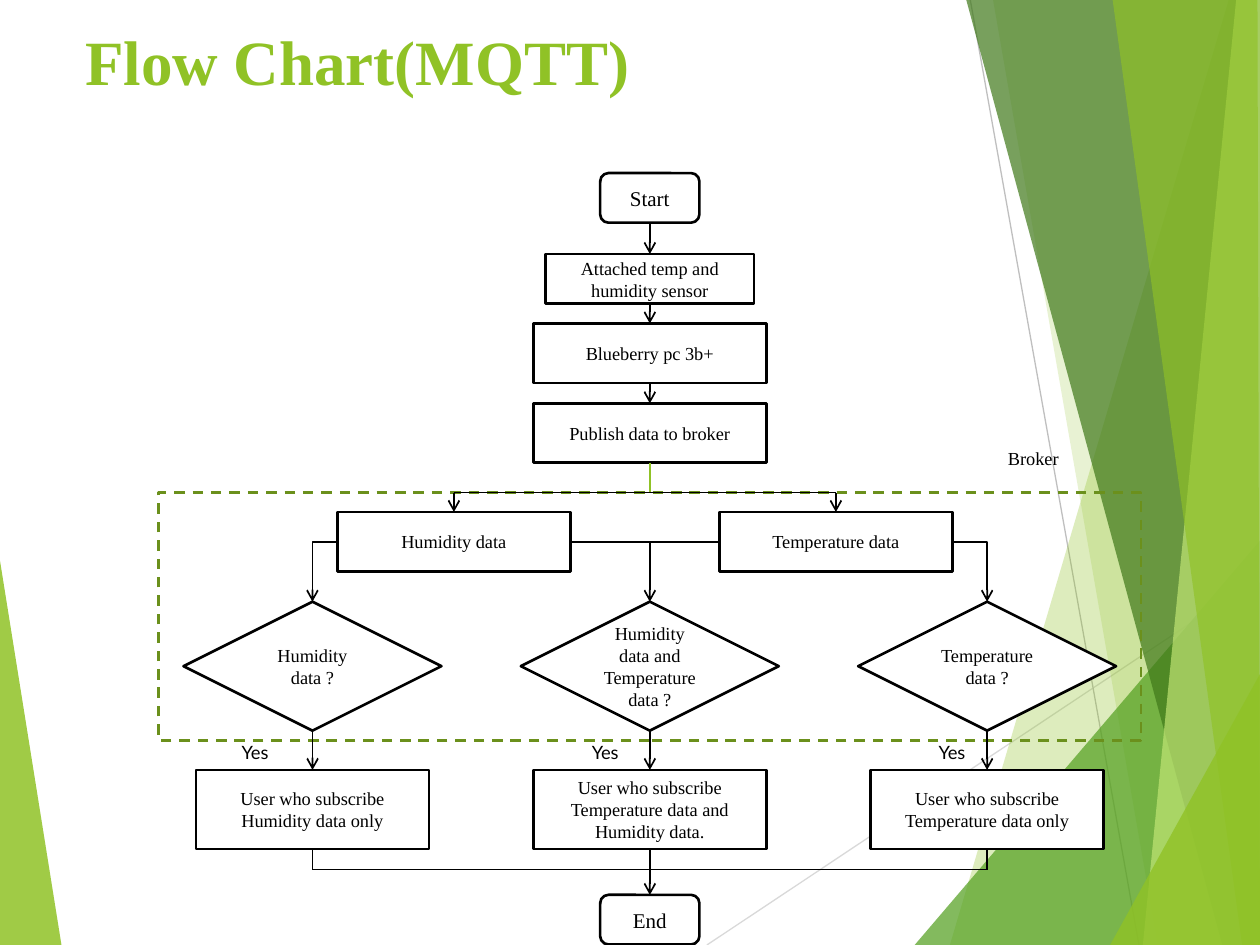
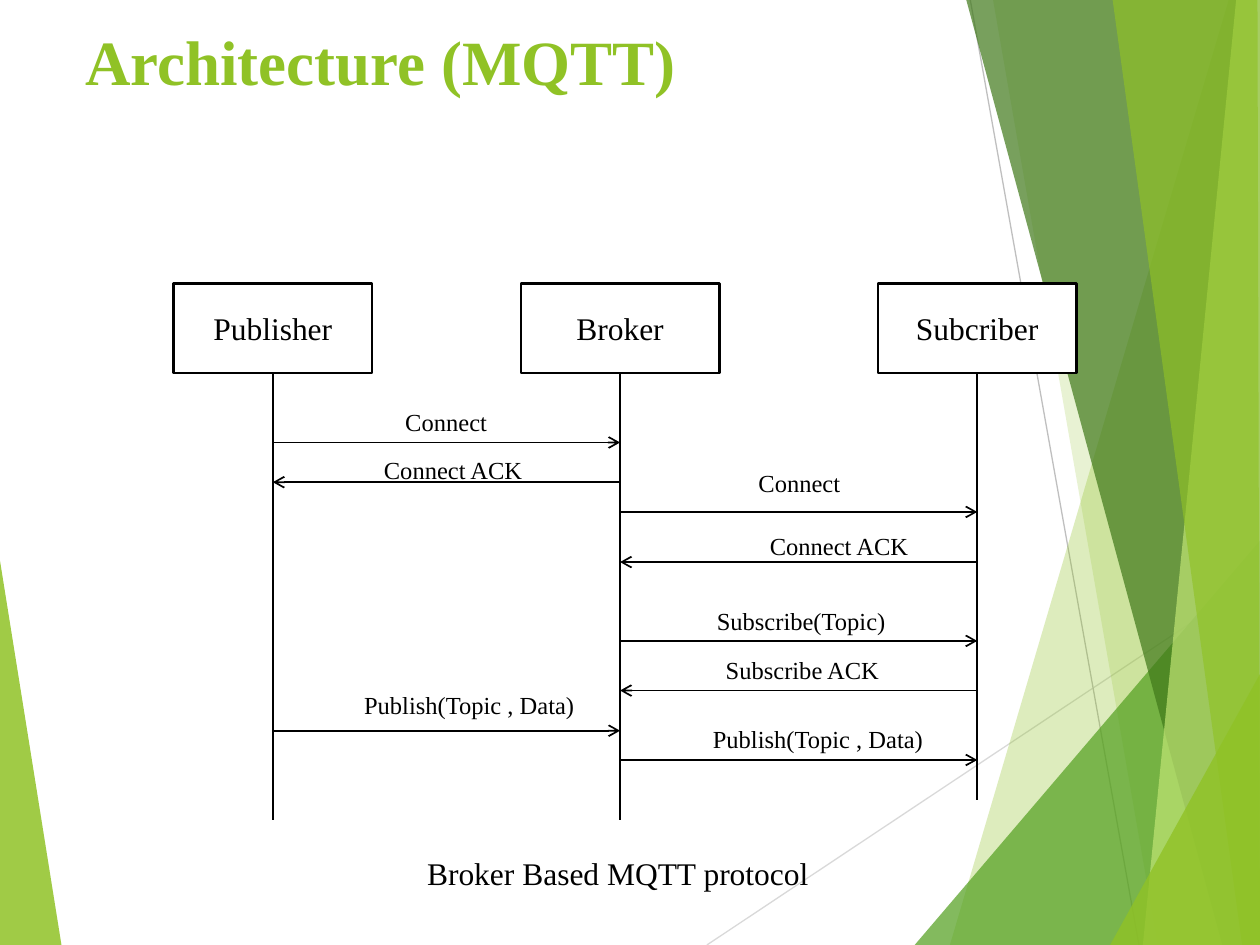
from lxml import etree
from pptx import Presentation
from pptx.dml.color import RGBColor
from pptx.enum.dml import MSO_LINE
from pptx.enum.shapes import MSO_CONNECTOR, MSO_SHAPE
from pptx.enum.text import MSO_ANCHOR, PP_ALIGN
from pptx.oxml.ns import qn
from pptx.util import Cm, Pt

RECTANGLE, ROUNDED, DIAMOND = MSO_SHAPE.RECTANGLE, MSO_SHAPE.ROUNDED_RECTANGLE, MSO_SHAPE.DIAMOND
STRAIGHT, ELBOW = MSO_CONNECTOR.STRAIGHT, MSO_CONNECTOR.ELBOW
DASH = MSO_LINE.DASH
CENTER, LEFT = PP_ALIGN.CENTER, PP_ALIGN.LEFT
MIDDLE = MSO_ANCHOR.MIDDLE
TOP_SIDE, LEFT_SIDE, BOTTOM_SIDE, RIGHT_SIDE = range(4)

WIDTH, HEIGHT = 25.4, 19.05
SERIF, SANS = "Times New Roman", "Lato"
BLACK, WHITE, GREEN, OLIVE = "000000", "FFFFFF", "90C226", "6B901C"

CORNERS = [(WIDTH, HEIGHT), (WIDTH, 0)]
LEFT_FACET = ([(0, 11.3), (1.24, HEIGHT), (0, HEIGHT)], GREEN, 85)
BACKDROP_LINES = [
    ((14.25, HEIGHT), (WIDTH, 11.63), "D9D9D9"),
    ((19.56, 0), (22.96, HEIGHT), "BFBFBF"),
]
RIGHT_FACETS = [
    ([(24.77, 0), (19.15, HEIGHT), *CORNERS], GREEN, 30),
    ([(20.02, 0), (23.34, HEIGHT), *CORNERS], GREEN, 20),
    ([(18.44, HEIGHT), (WIDTH, 10.9), (WIDTH, HEIGHT)], "54A021", 72),
    ([(19.48, 0), (24.64, HEIGHT), *CORNERS], "3F7819", 70),
    ([(24.92, 0), (23.04, HEIGHT), *CORNERS], "C0E474", 70),
    ([(22.43, 0), (25.04, HEIGHT), (WIDTH, HEIGHT), (25.35, 0)], GREEN, 65),
    ([(22.38, HEIGHT), (WIDTH, 13.59), (WIDTH, HEIGHT)], GREEN, 80),
]

HUMIDITY_X, BOTH_X, TEMPERATURE_X = 6.3, 13.1, 19.9
HUMIDITY_DATA_X, TEMPERATURE_DATA_X = 9.15, 16.85
BROKER_FRAME = (3.2, 9.93, 19.8, 5)
JOIN_Y = 17.53

NODE_KINDS = {
    "terminal": (ROUNDED, 2, 1, 12),
    "sensor": (RECTANGLE, 4.2, 1, 10.5),
    "step": (RECTANGLE, 4.7, 1.2, 10.5),
    "decision": (DIAMOND, 5.2, 2.6, 10.5),
    "user": (RECTANGLE, 4.7, 1.6, 10.5),
}
FLOW_NODES = {
    "start": ("terminal", BOTH_X, 3.49, "Start"),
    "sensor": ("sensor", BOTH_X, 5.12, "Attached temp and humidity sensor"),
    "board": ("step", BOTH_X, 6.52, "Blueberry pc 3b+"),
    "publish": ("step", BOTH_X, 8.13, "Publish data to broker"),
    "humidity data": ("step", HUMIDITY_DATA_X, 10.32, "Humidity data"),
    "temperature data": ("step", TEMPERATURE_DATA_X, 10.32, "Temperature data"),
    "both?": ("decision", BOTH_X, 12.13, "Humidity data and Temperature data ?"),
    "temperature?": ("decision", TEMPERATURE_X, 12.13, "Temperature data ?"),
    "humidity?": ("decision", HUMIDITY_X, 12.13, "Humidity data ?"),
    "temperature user": ("user", TEMPERATURE_X, 15.52, "User who subscribe Temperature data only"),
    "both user": ("user", BOTH_X, 15.52, "User who subscribe Temperature data and Humidity data."),
    "humidity user": ("user", HUMIDITY_X, 15.52, "User who subscribe Humidity data only"),
    "end": ("terminal", BOTH_X, 18.04, "End"),
}
DOWN_ARROWS = [
    ("start", "sensor"),
    ("sensor", "board"),
    ("board", "publish"),
    ("humidity?", "humidity user"),
    ("both?", "both user"),
    ("temperature?", "temperature user"),
    ("both user", "end"),
]
YES_LEFTS = [4.62, 11.68, 18.67]

ACTOR_TOP, ACTOR_WIDTH, ACTOR_HEIGHT = 5.72, 4, 1.8
ACTORS = {
    "Publisher": (5.5, 16.53),
    "Broker": (12.5, 16.53),
    "Subcriber": (19.7, 16.13),
}
MESSAGES = [
    ("Connect", "Publisher", "Broker", 8.92, (7.92, 8.08, 2.18)),
    ("Connect ACK", "Broker", "Publisher", 9.72, (7.49, 9.04, 3.33)),
    ("Connect", "Broker", "Subcriber", 10.32, (15.04, 9.32, 2.18)),
    ("Connect ACK", "Subcriber", "Broker", 11.33, (15.27, 10.59, 3.33)),
    ("Subscribe(Topic)", "Broker", "Subcriber", 12.92, (14.2, 12.09, 3.94)),
    ("Subscribe ACK", "Subcriber", "Broker", 13.92, (14.38, 13.08, 3.63)),
    ("Publish(Topic , Data)", "Publisher", "Broker", 14.73, (7.09, 13.79, 4.78)),
    ("Publish(Topic , Data)", "Broker", "Subcriber", 15.32, (14.12, 14.48, 4.78)),
]


def color(hex_string):
    return RGBColor.from_string(hex_string)


def write(shape, text, size, font=SERIF, ink=BLACK, bold=False, align=LEFT):
    shape.text_frame.text = text
    paragraph = shape.text_frame.paragraphs[0]
    paragraph.alignment = align
    style = paragraph.runs[0].font
    style.name, style.size, style.bold = font, Pt(size), bold
    style.color.rgb = color(ink)


def add_label(slide, text, left, top, width, height, size, wrap=False, **style):
    label = slide.shapes.add_textbox(Cm(left), Cm(top), Cm(width), Cm(height))
    write(label, text, size, **style)
    label.text_frame.word_wrap = wrap


def add_box(slide, kind, text, center, top, width, height, size):
    box = slide.shapes.add_shape(kind, Cm(center - width / 2), Cm(top), Cm(width), Cm(height))
    box.shadow.inherit = False
    box.fill.solid()
    box.fill.fore_color.rgb = color(WHITE)
    box.line.color.rgb = color(BLACK)
    box.line.width = Pt(1.5)
    write(box, text, size, align=CENTER)
    box.text_frame.word_wrap = True
    box.text_frame.vertical_anchor = MIDDLE
    return box


def add_line(slide, start, end, ink=BLACK, width=1, arrow=False, kind=STRAIGHT, begin=None, finish=None):
    line = slide.shapes.add_connector(kind, *map(Cm, start), *map(Cm, end))
    if begin:
        line.begin_connect(*begin)
    if finish:
        line.end_connect(*finish)
    line.line.color.rgb = color(ink)
    line.line.width = Pt(width)
    properties = line._element.spPr
    if kind == ELBOW:
        properties.find(qn("a:prstGeom")).set("prst", "bentConnector2")
    if arrow:
        etree.SubElement(properties.find(qn("a:ln")), qn("a:tailEnd"), type="arrow")
    etree.SubElement(properties, qn("a:effectLst"))


def add_facet(slide, points, ink, opacity):
    corners = [(Cm(x), Cm(y)) for x, y in points]
    builder = slide.shapes.build_freeform(*corners[0])
    builder.add_line_segments(corners[1:], close=True)
    facet = builder.convert_to_shape()
    facet.shadow.inherit = False
    facet.fill.solid()
    facet.fill.fore_color.rgb = color(ink)
    facet.line.fill.background()
    fill = facet._element.spPr.find(qn("a:solidFill"))
    etree.SubElement(fill[0], qn("a:alpha"), val=str(opacity * 1000))


def add_slide(presentation, title):
    slide = presentation.slides.add_slide(presentation.slide_layouts[6])
    add_facet(slide, *LEFT_FACET)
    for start, end, ink in BACKDROP_LINES:
        add_line(slide, start, end, ink, 0.75)
    for facet in RIGHT_FACETS:
        add_facet(slide, *facet)
    add_label(slide, title, 1.47, 0.33, 22.86, 3.48, 36, wrap=True, ink=GREEN, bold=True)
    return slide


def build_flow_chart(presentation):
    slide = add_slide(presentation, "Flow Chart(MQTT)")
    frame = slide.shapes.add_shape(RECTANGLE, *map(Cm, BROKER_FRAME))
    frame.shadow.inherit = False
    frame.fill.background()
    frame.line.color.rgb = color(OLIVE)
    frame.line.width = Pt(1.5)
    frame.line.dash_style = DASH

    nodes = {}
    for name, (kind, center, top, text) in FLOW_NODES.items():
        shape_kind, width, height, size = NODE_KINDS[kind]
        nodes[name] = add_box(slide, shape_kind, text, center, top, width, height, size)

    def link(start, end, **options):
        ends = {}
        points = []
        for role, target in (("begin", start), ("finish", end)):
            if isinstance(target[0], str):
                ends[role] = (nodes[target[0]], target[1])
                target = (0, 0)
            points.append(target)
        add_line(slide, *points, **ends, **options)

    for upper, lower in DOWN_ARROWS:
        link((upper, BOTTOM_SIDE), (lower, TOP_SIDE), arrow=True)

    frame_top = BROKER_FRAME[1]
    link(("publish", BOTTOM_SIDE), (BOTH_X, frame_top), ink=GREEN)
    link((HUMIDITY_DATA_X, frame_top), (TEMPERATURE_DATA_X, frame_top))
    for center, name in ((HUMIDITY_DATA_X, "humidity data"), (TEMPERATURE_DATA_X, "temperature data")):
        link((center, frame_top), (name, TOP_SIDE), arrow=True)

    link(("humidity data", RIGHT_SIDE), ("temperature data", LEFT_SIDE))
    link((BOTH_X, 10.92), ("both?", TOP_SIDE), arrow=True)
    link(("humidity data", LEFT_SIDE), ("humidity?", TOP_SIDE), arrow=True, kind=ELBOW)
    link(("temperature data", RIGHT_SIDE), ("temperature?", TOP_SIDE), arrow=True, kind=ELBOW)

    link((HUMIDITY_X, JOIN_Y), (TEMPERATURE_X, JOIN_Y))
    for center, name in ((HUMIDITY_X, "humidity user"), (TEMPERATURE_X, "temperature user")):
        link((name, BOTTOM_SIDE), (center, JOIN_Y))

    add_label(slide, "Broker", 20.07, 8.89, 1.55, 0.71, 10.5)
    for left in YES_LEFTS:
        add_label(slide, "Yes", left, 14.81, 1.07, 0.71, 10.5, font=SANS)


def build_architecture(presentation):
    slide = add_slide(presentation, "Architecture (MQTT)")
    for name, (center, lifeline_end) in ACTORS.items():
        actor = add_box(slide, RECTANGLE, name, center, ACTOR_TOP, ACTOR_WIDTH, ACTOR_HEIGHT, 18)
        add_line(slide, (center, ACTOR_TOP + ACTOR_HEIGHT), (center, lifeline_end), begin=(actor, BOTTOM_SIDE))
    for text, sender, receiver, y, (left, top, width) in MESSAGES:
        add_line(slide, (ACTORS[sender][0], y), (ACTORS[receiver][0], y), arrow=True)
        add_label(slide, text, left, top, width, 0.86, 14)
    add_label(slide, "Broker Based MQTT protocol", 8.36, 17.09, 8.28, 1.02, 18)


def main():
    presentation = Presentation()
    presentation.slide_width, presentation.slide_height = Cm(WIDTH), Cm(HEIGHT)
    build_flow_chart(presentation)
    build_architecture(presentation)
    presentation.save("out.pptx")


if __name__ == "__main__":
    main()
